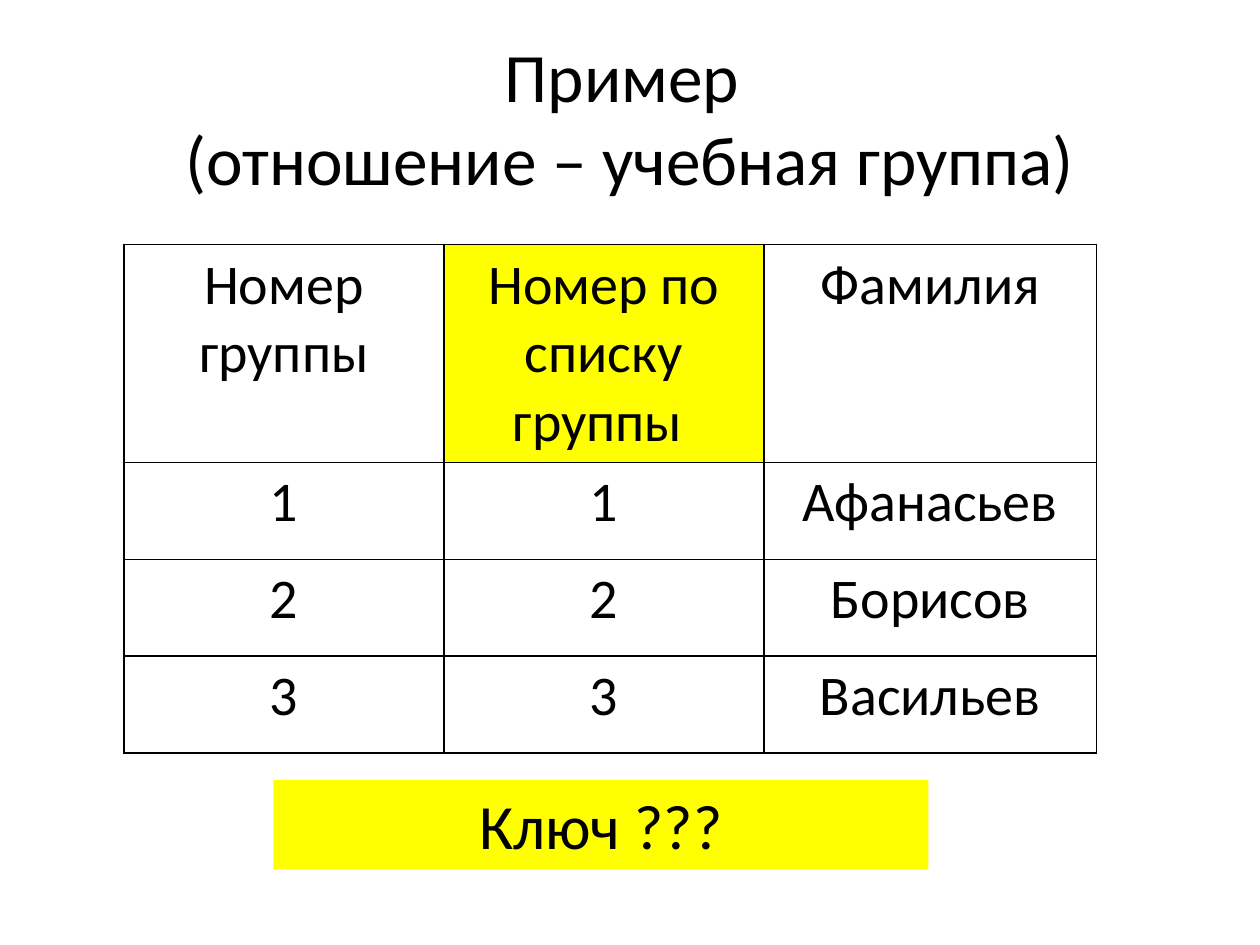
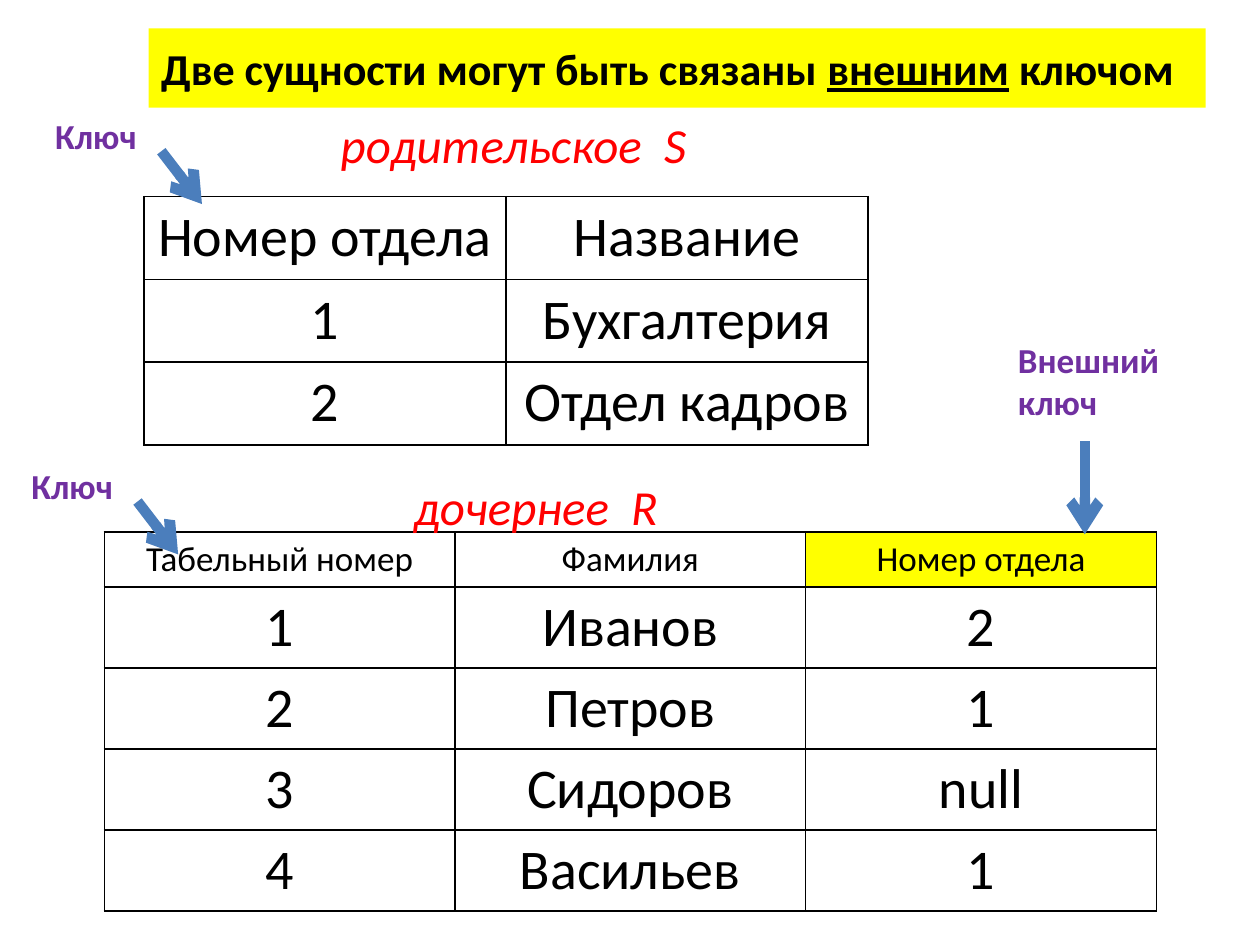
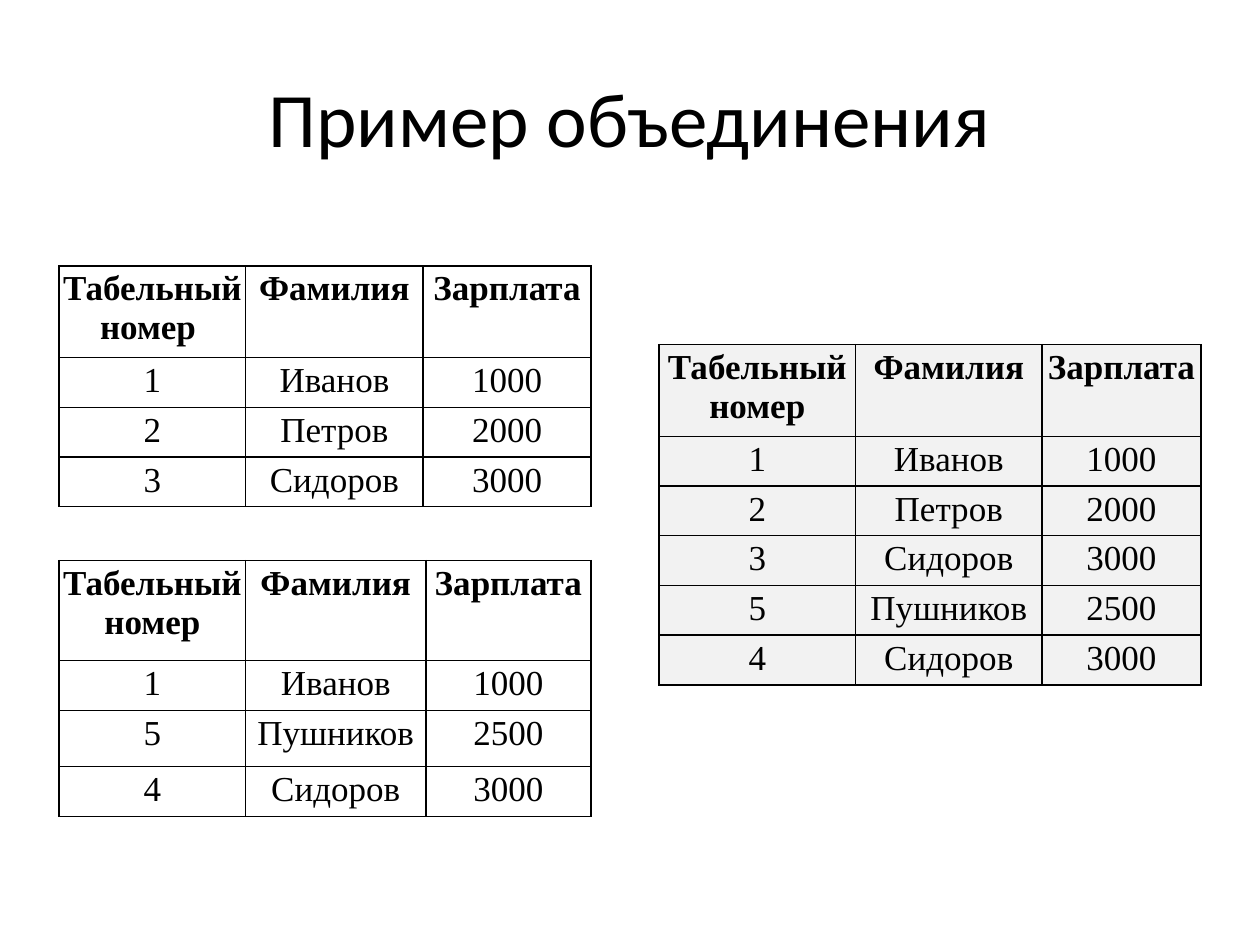
"""Build three slides on keys and unions of relations."""
import lxml.etree
import pptx
import pptx.dml.color
import pptx.enum.shapes
import pptx.enum.text
import pptx.oxml.ns
import pptx.util

Pt = pptx.util.Pt
ALIGN = pptx.enum.text.PP_ALIGN
ANCHOR = pptx.enum.text.MSO_ANCHOR
qn = pptx.oxml.ns.qn

HUES = {
    "ink": "000000",
    "paper": "FFFFFF",
    "mark": "FFFF00",
    "pale": "F2F2F2",
    "note": "7030A0",
    "role": "FF0000",
    "arrow": "4B7EBC",
}
BASE = {"name": "Calibri", "bold": False, "italic": False, "hue": "ink"}
SERIF = BASE | {"name": "Times New Roman", "size": Pt(20)}
STYLES = {
    "title": BASE | {"size": Pt(44)},
    "double": BASE | {"size": Pt(39.6)},
    "band": BASE | {"size": Pt(25.2), "bold": True},
    "key": BASE | {"size": Pt(36)},
    "cell": BASE | {"size": Pt(32)},
    "small": BASE | {"size": Pt(20)},
    "note": BASE | {"size": Pt(20), "bold": True, "hue": "note"},
    "role": BASE | {"size": Pt(28), "italic": True, "hue": "role"},
    "serif": SERIF,
    "strong": SERIF | {"bold": True},
}
TITLE = (36, 21.6, 648, 90)
STAFF = ["Табельный номер", "Фамилия", "Зарплата"]
FIRST = [["1", "Иванов", "1000"], ["2", "Петров", "2000"], ["3", "Сидоров", "3000"]]
ADDED = [["5", "Пушников", "2500"], ["4", "Сидоров", "3000"]]


def tint(name):
    """Return the named colour."""
    return pptx.dml.color.RGBColor.from_string(HUES[name])


def paint(fill, name):
    """Fill with a plain colour."""
    fill.solid()
    fill.fore_color.rgb = tint(name)


def write(frame, text, style, align=ALIGN.CENTER, under=""):
    """Write styled lines, with one word underlined if asked."""
    para = frame.paragraphs[0]
    para.alignment = align
    for i, line in enumerate(text.split("\n")):
        if i:
            para.add_line_break()
        parts = line.partition(under) if under else (line,)
        for part in filter(None, parts):
            run = para.add_run()
            run.text = part
            look = STYLES[style] | {"underline": part == under}
            run.font.color.rgb = tint(look.pop("hue"))
            for key, value in look.items():
                setattr(run.font, key, value)


def label(shapes, box, text, style, align=ALIGN.CENTER, anchor=ANCHOR.TOP):
    """Add a wrapped text box."""
    frame = shapes.add_textbox(*map(Pt, box)).text_frame
    frame.word_wrap = True
    frame.vertical_anchor = anchor
    write(frame, text, style, align)


def title(slide, text, style="title"):
    """Add the slide title."""
    label(slide.shapes, TITLE, text, style, anchor=ANCHOR.MIDDLE)


def band(slide, box, text, style, align=ALIGN.CENTER, under=""):
    """Add a yellow band with text."""
    kind = pptx.enum.shapes.MSO_SHAPE.RECTANGLE
    shape = slide.shapes.add_shape(kind, *map(Pt, box))
    shape.shadow.inherit = False
    paint(shape.fill, "mark")
    shape.line.fill.background()
    shape.text_frame.word_wrap = True
    shape.text_frame.vertical_anchor = ANCHOR.MIDDLE
    write(shape.text_frame, text, style, align, under)


def arrow(shapes, ends):
    """Add a thick arrow."""
    kind = pptx.enum.shapes.MSO_CONNECTOR.STRAIGHT
    link = shapes.add_connector(kind, *map(Pt, ends))
    link.line.color.rgb = tint("arrow")
    link.line.width = Pt(6)
    props = link._element.spPr
    lxml.etree.SubElement(props.find(qn("a:ln")), qn("a:tailEnd"), type="arrow")
    lxml.etree.SubElement(props, qn("a:effectLst"))


def note(slide, box, text, ends):
    """Add a grouped label and arrow."""
    shapes = slide.shapes.add_group_shape().shapes
    label(shapes, box, text, "note", ALIGN.LEFT)
    arrow(shapes, ends)


def frame(cell):
    """Draw the four cell borders."""
    props = cell._tc.get_or_add_tcPr()
    for side in "LRTB":
        line = lxml.etree.SubElement(props, qn("a:ln" + side), w=str(Pt(1)))
        fill = lxml.etree.SubElement(line, qn("a:solidFill"))
        lxml.etree.SubElement(fill, qn("a:srgbClr"), val=HUES["ink"])


def grid(slide, spot, cols, rows, data, head="cell", body="cell",
         back="paper", mark=None, pad=None):
    """Add a bordered table, with one header cell marked if asked."""
    size = sum(cols), sum(rows)
    table = slide.shapes.add_table(
        len(rows), len(cols), *map(Pt, spot + size)).table
    table.first_row = table.horz_banding = False
    for col, width in zip(table.columns, cols):
        col.width = Pt(width)
    for row, height in zip(table.rows, rows):
        row.height = Pt(height)
    for r, line in enumerate(data):
        for c, text in enumerate(line):
            cell = table.cell(r, c)
            frame(cell)
            paint(cell.fill, "mark" if (r, c) == (0, mark) else back)
            if pad:
                for side in ("left", "right", "top", "bottom"):
                    setattr(cell, "margin_" + side, Pt(pad))
            write(cell.text_frame, text, body if r else head)


def group(slide):
    """Fill the study group slide."""
    title(slide, "Пример \n(отношение – учебная группа)", "double")
    names = ["Афанасьев", "Борисов", "Васильев"]
    data = [["Номер группы", "Номер по списку группы ", "Фамилия"]]
    data += [[str(n), str(n), name] for n, name in enumerate(names, 1)]
    grid(slide, (70.8, 139.7), [182.9, 182.9, 190.1],
         [124.5] + [55.4] * 3, data, mark=1)
    band(slide, (156.2, 445.7, 374.4, 51.1), "Ключ ???", "key")


def link(slide):
    """Fill the foreign key slide."""
    band(slide, (85, 16.2, 604, 45.4),
         "Две сущности могут быть связаны внешним ключом",
         "band", ALIGN.LEFT, "внешним")
    grid(slide, (82.3, 112.4), [206.9] * 2, [47.3] * 3, [
        ["Номер отдела", "Название"],
        ["1", "Бухгалтерия"],
        ["2", "Отдел кадров"],
    ])
    grid(slide, (59.6, 303.9), [200.4] * 3, [31.6] + [46.3] * 4, [
        ["Табельный номер", "Фамилия", "Номер отдела"],
        ["1", "Иванов", "2"],
        ["2", "Петров", "1"],
        ["3", "Сидоров", "null"],
        ["4", "Васильев", "1"],
    ], head="small", mark=2)
    note(slide, (574.6, 190.1, 113.8, 55.4), "Внешний ключ",
         (619.9, 252, 619.9, 305.3))
    for x, y in ((24.4, 61.9), (10.8, 262.1)):
        note(slide, (x, y, 87.8, 24.5), "Ключ",
             (x + 67.8, y + 24.5, x + 91, y + 54.7))
    for x, y, text in ((195.8, 268.6, "дочернее  R"),
                       (182.9, 61.9, "родительское  S")):
        label(slide.shapes, (x, y, 221, 41), text, "role")


def union(slide):
    """Fill the union slide."""
    title(slide, "Пример объединения")
    look = {"head": "strong", "body": "serif", "pad": 2.2}
    top, row = 48.5, 26.8
    grid(slide, (33.8, 151.9), [106.6, 101.5, 95.8], [top] + [row] * 3,
         [["Табельный номер "] + STAFF[1:]] + FIRST, **look)
    grid(slide, (33.8, 320.4), [106.6, 103, 94.3], [57.1, row, 32.2, row],
         [STAFF, FIRST[0]] + ADDED, **look)
    grid(slide, (376.6, 196.9), [112.3, 106.6, 90.7], [top] + [row] * 5,
         [STAFF] + FIRST + ADDED, back="pale", **look)


def main():
    """Build and save the deck."""
    deck = pptx.Presentation()
    deck.slide_width, deck.slide_height = Pt(720), Pt(540)
    for build in (group, link, union):
        slide = deck.slides.add_slide(deck.slide_layouts[6])
        paint(slide.background.fill, "paper")
        build(slide)
    deck.save("out.pptx")


if __name__ == "__main__":
    main()
